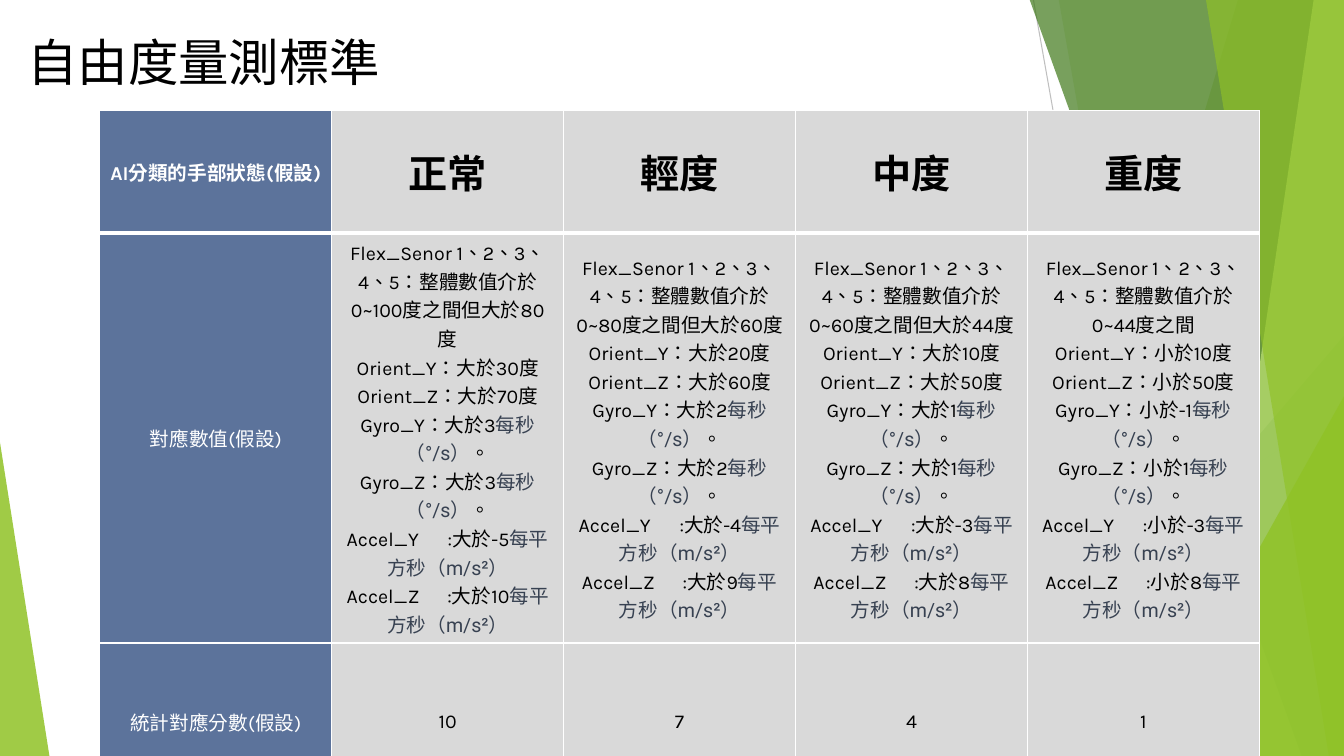
from lxml import etree
from pptx import Presentation, util as u
from pptx.dml.color import RGBColor
from pptx.enum import lang, shapes, text
from pptx.oxml.ns import qn

PX = 9144  # 100 px to the inch
WIDTH, HEIGHT = 1333, 750

WHITE = RGBColor(0xFF, 0xFF, 0xFF)
BLACK = RGBColor(0, 0, 0)
SLATE = RGBColor(0x37, 0x41, 0x51)
BLUE = RGBColor(0x5C, 0x73, 0x9B)
CELL_GREY = RGBColor(0xD9, 0xD9, 0xD9)
LINE_GREY = RGBColor(0xBF, 0xBF, 0xBF)
LIME = RGBColor(0x90, 0xC2, 0x26)
GREEN = RGBColor(0x54, 0xA0, 0x21)
DARK_GREEN = RGBColor(0x3F, 0x78, 0x19)
PALE_LIME = RGBColor(0xC0, 0xE4, 0x74)

BODY = {"name": "Karla", "size": u.Pt(14), "bold": False,
        "language_id": lang.MSO_LANGUAGE_ID.TRADITIONAL_CHINESE}
HEAD = {**BODY, "bold": True}
GRADE = {**HEAD, "size": u.Pt(28)}
UNIT = {**BODY, "name": "Roboto"}
TITLE = {**BODY, "size": u.Pt(36)}

# Grade, flex range, comparison, Orient_Y, Orient_Z, Gyro_Y, Gyro_Z, Accel_Y, Accel_Z, score
GRADES = [
    ("正常", "0~100度之間但大於80度", "大於", 30, 70, 3, 3, -5, 10, 10),
    ("輕度", "0~80度之間但大於60度", "大於", 20, 60, 2, 2, -4, 9, 7),
    ("中度", "0~60度之間但大於44度", "大於", 10, 50, 1, 1, -3, 8, 4),
    ("重度", "0~44度之間", "小於", 10, 50, -1, 1, -3, 8, 1),
]


def px(*lengths):
    return [u.Emu(n * PX) for n in lengths]


def add_run(p, words, style, color):
    r = p.add_run()
    r.text = words
    for name, value in style.items():
        setattr(r.font, name, value)
    r.font.color.rgb = color


def paint(sp, color, opacity):
    """Fill a shape with a colour at an opacity in percent, without line or shadow."""
    sp.shadow.inherit = False
    sp.line.fill.background()
    sp.fill.solid()
    sp.fill.fore_color.rgb = color
    srgb = sp._element.spPr.find(qn("a:solidFill")).find(qn("a:srgbClr"))
    etree.SubElement(srgb, qn("a:alpha"), val=str(opacity * 1000))


def add_line(s, x1, y1, x2, y2, color):
    line = s.shapes.add_connector(shapes.MSO_CONNECTOR.STRAIGHT, *px(x1, y1, x2, y2))
    line.line.color.rgb = color
    line.line.width = u.Pt(0.75)
    etree.SubElement(line._element.spPr, qn("a:effectLst"))


def add_band(s, top_x, bottom_x, color, opacity):
    """A full-height band from a slanted left edge to the right edge of the slide."""
    builder = s.shapes.build_freeform(top_x, -1, scale=PX)
    builder.add_line_segments([(WIDTH, -1), (WIDTH, HEIGHT), (bottom_x, HEIGHT)], close=True)
    paint(builder.convert_to_shape(), color, opacity)


def add_triangle(s, x, y, w, h, apex, color, opacity):
    sp = s.shapes.add_shape(shapes.MSO_SHAPE.ISOSCELES_TRIANGLE, *px(x, y, w, h))
    sp.adjustments[0] = apex
    paint(sp, color, opacity)


def add_backdrop(s):
    add_line(s, 1025, 0, 1158, 750, LINE_GREY)
    add_line(s, 1333, 403, 812, 750, CELL_GREY)
    add_band(s, 1228, 1004, LIME, 30)
    add_band(s, 1050, 1183, LIME, 20)
    add_triangle(s, 977, 333, 356, 417, 1, GREEN, 72)
    add_band(s, 1021, 1291, DARK_GREEN, 70)
    add_band(s, 1303, 1192, PALE_LIME, 70)
    add_band(s, 1196, 1318, LIME, 65)
    add_triangle(s, 1134, 393, 199, 357, 1, LIME, 80)
    add_triangle(s, 0, 439, 49, 311, 0, LIME, 85)


def set_title(s):
    title = s.shapes.title
    title.left, title.top, title.width, title.height = px(17, 26, 1150, 145)
    tf = title.text_frame
    tf.vertical_anchor = text.MSO_ANCHOR.TOP
    p = tf.paragraphs[0]
    p.alignment = text.PP_ALIGN.LEFT
    add_run(p, "自由度量測標準", TITLE, BLACK)


def add_borders(cell, top, bottom):
    tc_pr = cell._tc.get_or_add_tcPr()
    for i, (side, points) in enumerate(zip("LRTB", (1, 1, top, bottom))):
        ln = etree.Element(qn(f"a:ln{side}"), w=str(u.Pt(points)))
        fill = etree.SubElement(ln, qn("a:solidFill"))
        etree.SubElement(fill, qn("a:srgbClr"), val=str(WHITE))
        tc_pr.insert(i, ln)


def fill_cell(cell, lines, color):
    """Each line is a list of (words, style, colour) runs."""
    cell.fill.solid()
    cell.fill.fore_color.rgb = color
    cell.vertical_anchor = text.MSO_ANCHOR.MIDDLE
    tf = cell.text_frame
    for i, line in enumerate(lines):
        p = tf.add_paragraph() if i else tf.paragraphs[0]
        p.alignment = text.PP_ALIGN.CENTER
        for words, style, ink in line:
            add_run(p, words, style, ink)


def criteria(flex, compare, orient_y, orient_z, gyro_y, gyro_z, accel_y, accel_z):
    def plain(words):
        return words, BODY, BLACK

    def unit(words):
        return words, UNIT, SLATE

    lines = [[plain(f"Flex_Senor 1、2、3、4、5：整體數值介於 {flex}")]]
    for axis, value in (("Y", orient_y), ("Z", orient_z)):
        lines.append([plain(f"Orient_{axis}：{compare}{value}度")])
    for axis, value in (("Y", gyro_y), ("Z", gyro_z)):
        lines.append([plain(f"Gyro_{axis}：{compare}{value}"), unit("每秒（°/s）"), plain("。")])
    for axis, value in (("Y", accel_y), ("Z", accel_z)):
        lines.append([plain(f"Accel_{axis}\t:{compare}{value}"), unit("每平方秒（m/s²）")])
    return lines


def add_grade_table(s):
    heights = (121, 307, 157)
    table = s.shapes.add_table(3, 5, *px(99, 110, 1150, sum(heights))).table
    for col in table.columns:
        col.width = u.Emu(230 * PX)
    for row, height in zip(table.rows, heights):
        row.height = u.Emu(height * PX)

    labels = (("AI分類的手部狀態(假設)", HEAD), ("對應數值(假設)", BODY), ("統計對應分數(假設)", BODY))
    for i, (label, style) in enumerate(labels):
        fill_cell(table.cell(i, 0), [[(label, style, WHITE)]], BLUE)
    for j, (grade, *limits, score) in enumerate(GRADES, 1):
        fill_cell(table.cell(0, j), [[(grade, GRADE, BLACK)]], CELL_GREY)
        fill_cell(table.cell(1, j), criteria(*limits), CELL_GREY)
        fill_cell(table.cell(2, j), [[(str(score), BODY, BLACK)]], CELL_GREY)
    for i, (top, bottom) in enumerate(((1, 3), (3, 1), (1, 1))):
        for cell in table.rows[i].cells:
            add_borders(cell, top, bottom)


def main():
    prs = Presentation()
    prs.slide_width, prs.slide_height = px(WIDTH, HEIGHT)
    s = prs.slides.add_slide(prs.slide_layouts[5])
    add_backdrop(s)
    set_title(s)
    add_grade_table(s)
    prs.save("out.pptx")


if __name__ == "__main__":
    main()
